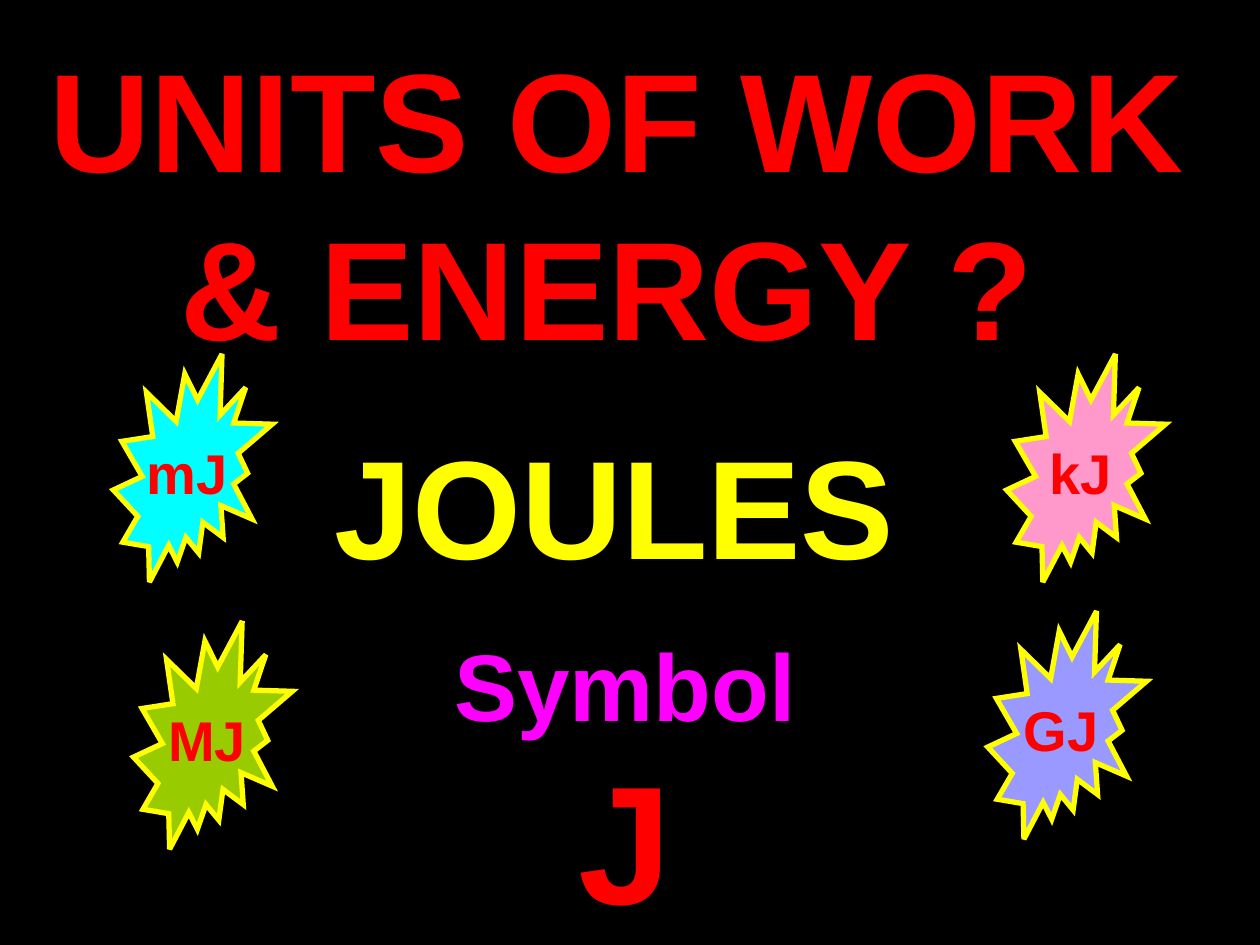
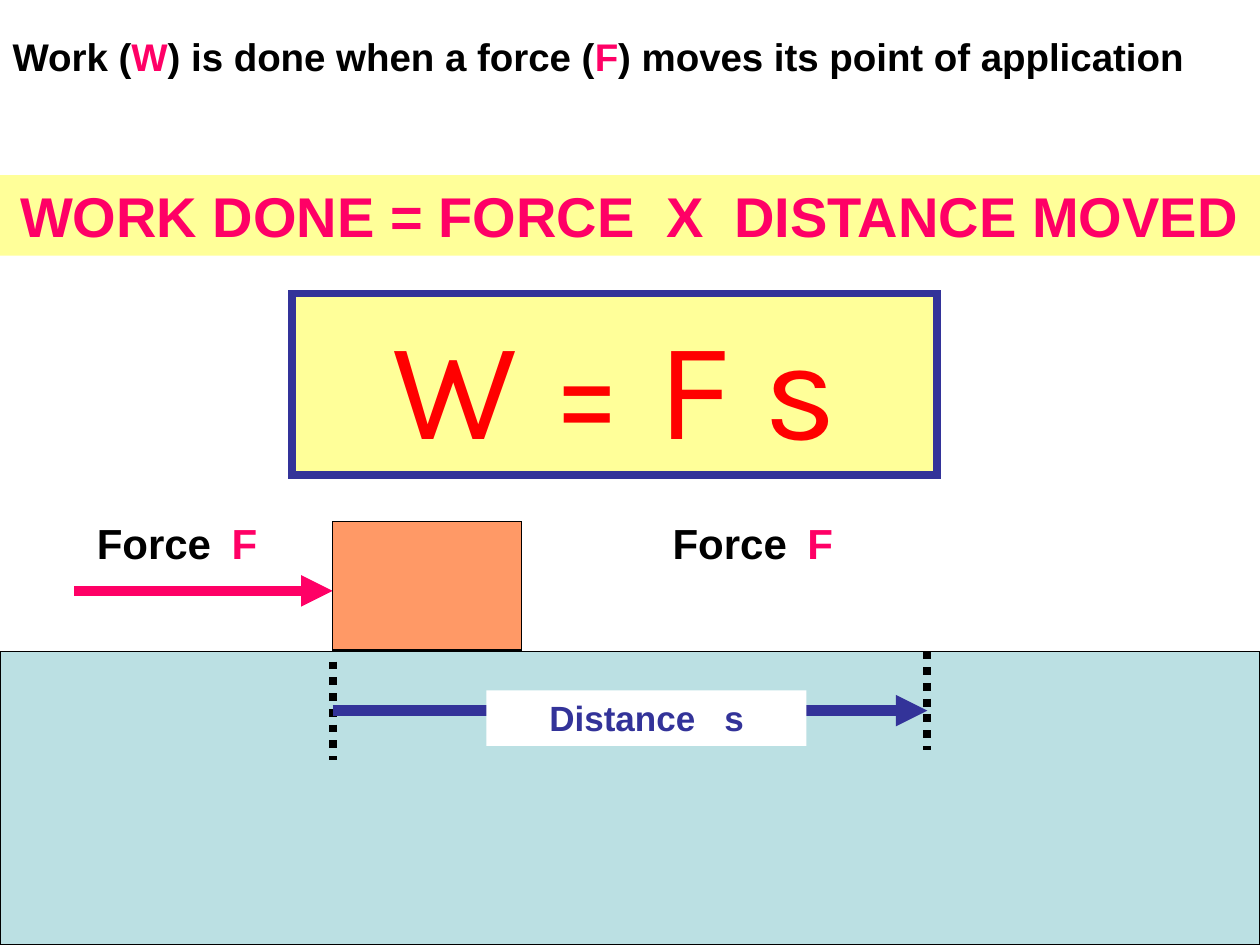
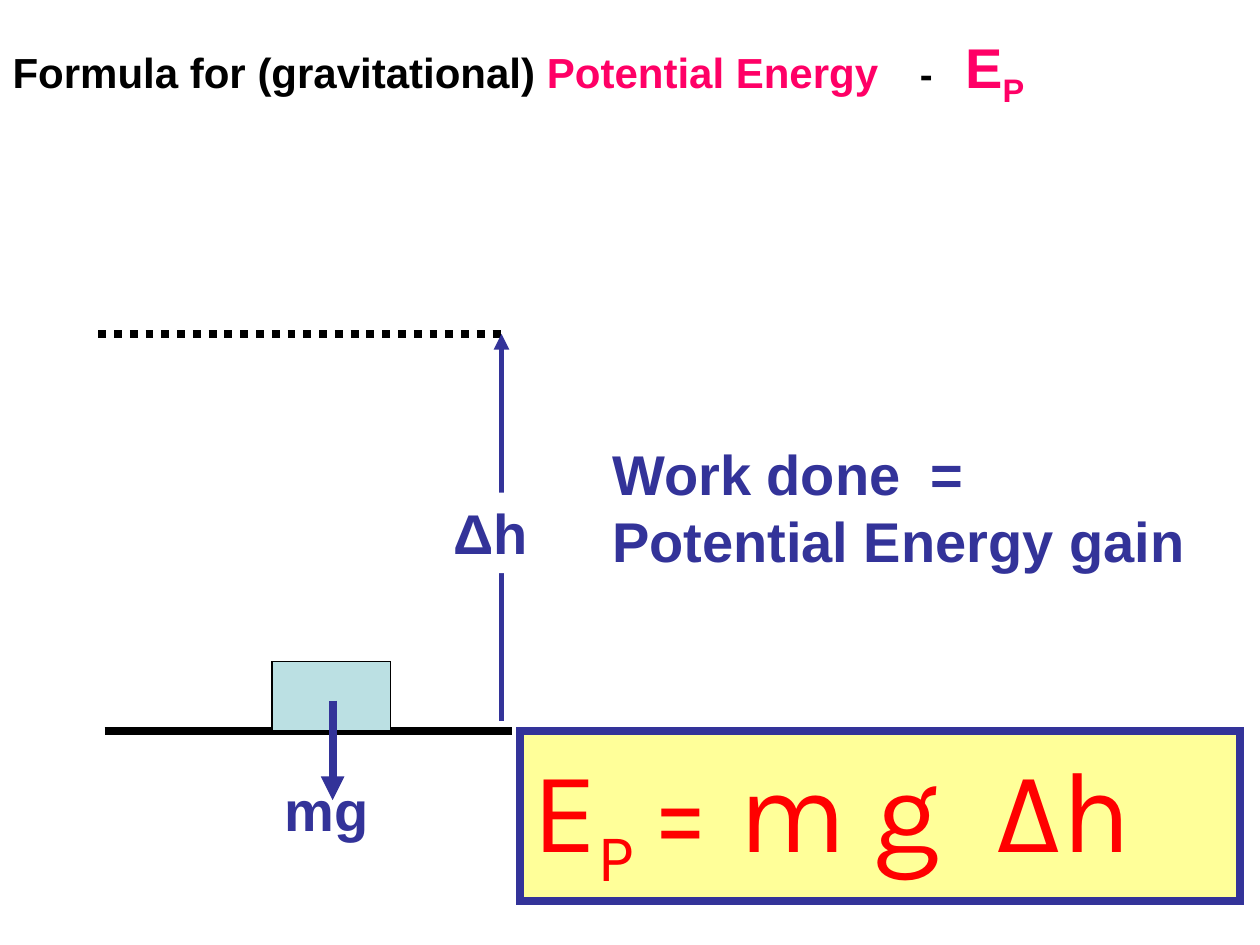
from lxml import etree
from pptx import Presentation
from pptx.dml.color import RGBColor
from pptx.enum import dml, shapes, text
from pptx.oxml import ns
from pptx.util import Inches, Pt

# Shared look
BLACK, WHITE, RED, YELLOW = "000000", "FFFFFF", "FF0000", "FFFF00"
PINK, NAVY, CREAM, AQUA = "FF0066", "333399", "FFFF99", "BBE0E3"
BODY, FORMULA = "Arial", "Karla"
RECT = shapes.MSO_SHAPE.RECTANGLE
LEFT, CENTER = text.PP_ALIGN.LEFT, text.PP_ALIGN.CENTER
hex_color = RGBColor.from_string


def add_text(slide, at, runs=(), kind=None, title=False, fill=None, border=None,
             border_width=0.75, size=32, color=BLACK, font=BODY, bold=True,
             align=LEFT, anchor=text.MSO_ANCHOR.TOP, wrap=True, inset=0.1, tabs=()):
    """Place a title, text box or shape; each run is (text, overrides)."""
    at = [Inches(length) for length in at]
    if title:
        box = slide.shapes.title
        box.left, box.top, box.width, box.height = at
    elif kind is None:
        box = slide.shapes.add_textbox(*at)
    else:
        box = slide.shapes.add_shape(kind, *at)
        box.shadow.inherit = False
    if fill:
        box.fill.solid()
        box.fill.fore_color.rgb = hex_color(fill)
    if border:
        box.line.color.rgb = hex_color(border)
        box.line.width = Pt(border_width)
        etree.SubElement(box.line._get_or_add_ln(), ns.qn("a:miter"), lim="800000")
    elif kind is not None:
        box.line.fill.background()

    frame = box.text_frame
    frame.auto_size = text.MSO_AUTO_SIZE.NONE
    frame.word_wrap = wrap
    frame.vertical_anchor = anchor
    frame.margin_left = Inches(inset)
    paragraph = frame.paragraphs[0]
    paragraph.alignment = align
    if tabs:
        stops = etree.SubElement(paragraph._p.get_or_add_pPr(), ns.qn("a:tabLst"))
        for stop in tabs:
            etree.SubElement(stops, ns.qn("a:tab"), pos=str(Inches(stop)), algn="l")
    for words, own in runs:
        run = paragraph.add_run()
        run.text = words
        run.font.name = font
        run.font.bold = bold
        run.font.size = Pt(own.get("size", size))
        run.font.color.rgb = hex_color(own.get("color", color))
        if own.get("subscript"):
            run._r.get_or_add_rPr().set("baseline", "-25000")


def add_line(slide, start, end, color=BLACK, width=4.5, dotted=False, arrow=False):
    ends = [Inches(length) for length in (*start, *end)]
    line = slide.shapes.add_connector(shapes.MSO_CONNECTOR.STRAIGHT, *ends)
    line.line.color.rgb = hex_color(color)
    line.line.width = Pt(width)
    if dotted:
        line.line.dash_style = dml.MSO_LINE.ROUND_DOT
    if arrow:
        etree.SubElement(line.line._get_or_add_ln(), ns.qn("a:tailEnd"), type="triangle")
    etree.SubElement(line._element.spPr, ns.qn("a:effectLst"))


prs = Presentation()
prs.slide_width, prs.slide_height = Inches(10), Inches(7.5)
units, work, potential = [prs.slides.add_slide(prs.slide_layouts[5]) for _ in range(3)]
for slide, background in ((units, BLACK), (work, WHITE), (potential, WHITE)):
    slide.background.fill.solid()
    slide.background.fill.fore_color.rgb = hex_color(background)

# Slide 1: units of work and energy
add_text(units, (0, 0.21, 9.8, 2.77),
         [("UNITS OF WORK & ENERGY ?", {}), (" ", {"size": 40})],
         title=True, size=80, color=RED, align=CENTER)
for words, left, top, height, size, color in (
        ("JOULES", 1.22, 3.28, 1.44, 80, YELLOW),
        ("Symbol", 1.3, 4.93, 1, 54, "FF00FF"),
        ("J", 1.3, 5.8, 1.7, 96, RED)):
    add_text(units, (left, top, 7.32, height), [(words, {})],
             size=size, color=color, align=CENTER)
for unit, left, top, fill in (
        ("mJ", 0.9, 2.81, "00FFFF"), ("kJ", 7.99, 2.81, "FF99CC"),
        ("MJ", 1.06, 4.93, "99CC00"), ("GJ", 7.84, 4.85, "9999FF")):
    add_text(units, (left, top, 1.26, 1.81), [(unit, {})],
             kind=shapes.MSO_SHAPE.EXPLOSION2, fill=fill, border=YELLOW, border_width=3,
             color=RED, align=CENTER, anchor=text.MSO_ANCHOR.MIDDLE, wrap=False)

# Slide 2: work done by a force
pink = {"color": PINK}
add_text(work, (0, 0.21, 9.57, 0.47),
         [("Work (", {}), ("W", pink), (") is done when a force (", {}),
          ("F", pink), (") moves its point of application", {})],
         title=True, size=22)

# Ground, block and the force that pushes it
ground_top, block_left, stop_x = 5.17, 2.64, 7.36
add_line(work, (0, ground_top), (10, ground_top), width=0.75)
add_text(work, (0, ground_top, 10, 2.33), kind=RECT, fill=AQUA, border=BLACK)
for force_left in (0.67, 5.24):
    add_text(work, (force_left, 4.06, 1.6, 0.5), [("Force\t", {}), ("F", pink)],
             size=24, tabs=[1.07])
add_line(work, (0.59, 4.69), (block_left, 4.69), color=PINK, width=6, arrow=True)
add_text(work, (block_left, 4.14, 1.5, 1.02), kind=RECT, fill="FF9966", border=BLACK)

# Distance moved
for mark_x, mark_top in ((block_left, 5.25), (stop_x, ground_top)):
    add_line(work, (mark_x, mark_top), (mark_x, mark_top + 0.78), dotted=True)
add_line(work, (block_left, 5.64), (stop_x, 5.64), color=NAVY, width=6, arrow=True)
add_text(work, (3.86, 5.48, 2.54, 0.44), [("Distance\ts", {})], kind=RECT, fill=WHITE,
         size=20, color=NAVY, inset=0.5, tabs=[1.39])

# Formula in words and symbols
add_text(work, (0, 1.39, 10, 0.64), [("WORK DONE = FORCE\tX\tDISTANCE MOVED", {})],
         kind=RECT, fill=CREAM, color=PINK, inset=0.16, tabs=[5.13, 5.67])
formula = dict(kind=RECT, fill=CREAM, border=NAVY, border_width=4.5,
               color=RED, font=FORMULA, bold=False)
add_text(work, (2.32, 2.33, 5.12, 1.44), [("W = F s", {})],
         size=80, align=CENTER, **formula)

# Slide 3: gravitational potential energy
add_text(potential, (0, 0.21, 9.57, 0.71),
         [("Formula for (gravitational) ", {}), ("Potential Energy", pink),
          ("\t-\t", {"size": 22}), ("E", {"size": 32, "color": PINK}),
          ("P", {"size": 32, "color": PINK, "subscript": True})],
         title=True, size=24, tabs=[7.2, 7.56])

# Floor, raised level and the weight of the block
floor_y, raised_y = 5.8, 2.65
add_line(potential, (0.83, floor_y), (4.06, floor_y))
add_line(potential, (0.78, raised_y), (4.01, raised_y), dotted=True)
add_text(potential, (2.16, 5.25, 0.94, 0.55), kind=RECT, fill=AQUA, border=BLACK)
add_line(potential, (2.64, 5.56), (2.64, 6.35), color=NAVY, arrow=True)
add_text(potential, (2.16, 6.11, 1.02, 0.64), [("mg", {})], color=NAVY)

# Height gained
add_line(potential, (3.98, 5.72), (3.98, raised_y), color=NAVY, width=3, arrow=True)
add_text(potential, (3.5, 3.91, 0.94, 0.64), [("Δh", {})],
         kind=RECT, fill=WHITE, color=NAVY)

# Energy statement and formula
add_text(potential, (4.76, 3.44, 4.88, 1.17), [("Work done\t= Potential Energy gain", {})],
         color=NAVY, tabs=[2.53])
add_text(potential, (4.13, floor_y, 5.71, 1.35),
         [("E", {}), ("P ", {"subscript": True}), ("= m g\tΔh", {})],
         size=66, tabs=[3.67], **formula)

prs.save("out.pptx")
